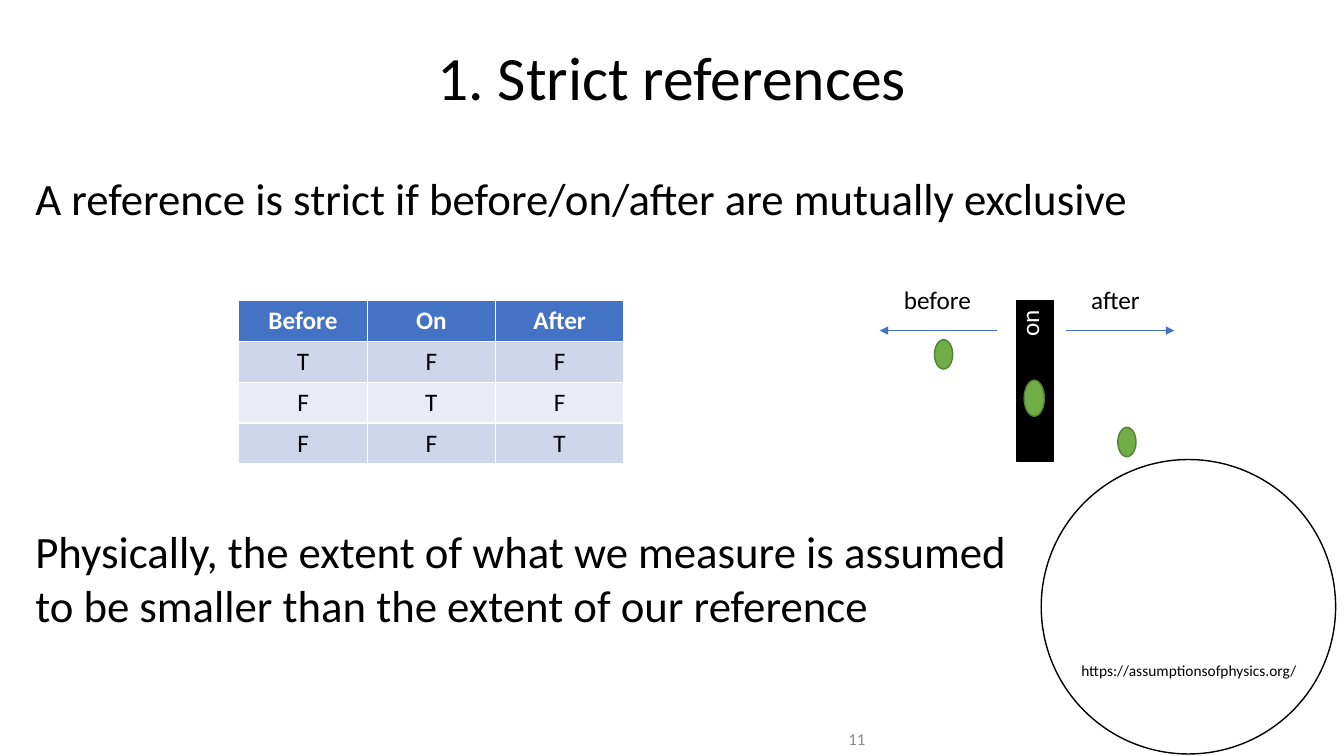
from lxml import etree
from pptx import Presentation
from pptx.dml.color import RGBColor
from pptx.enum.shapes import MSO_CONNECTOR, MSO_SHAPE
from pptx.enum.text import MSO_ANCHOR, MSO_AUTO_SIZE, PP_ALIGN
from pptx.oxml.ns import qn
from pptx.util import Cm, Pt

OVAL, RECT = MSO_SHAPE.OVAL, MSO_SHAPE.RECTANGLE
STRAIGHT = MSO_CONNECTOR.STRAIGHT
LEFT, MID, RIGHT = PP_ALIGN.LEFT, PP_ALIGN.CENTER, PP_ALIGN.RIGHT
TOP, CENTRE = MSO_ANCHOR.TOP, MSO_ANCHOR.MIDDLE
FIXED = MSO_AUTO_SIZE.NONE

HUES = {
    "ink": "000000", "paper": "FFFFFF", "blue": "4472C4", "grey": "8C8C8C",
    "odd": "CFD5EA", "even": "E9EBF5", "green": "70AD47", "edge": "538035",
}
TITLE = "1. Strict references"
TITLE_BOX = (0, 1.02, 33.87, 2.01)
TEXTS = [
    ("https://assumptionsofphysics.org/", (27, 16.54, 5.97, 0.74), 11, "ink", False, TOP),
    ("11", (21.13, 18.29, 6.2, 0.64), 12, "grey", True, CENTRE),
    ("before", (22.53, 7.04, 2.21, 1.02), 18, "ink", False, TOP),
    ("after", (27.25, 7.04, 1.75, 1.02), 18, "ink", False, TOP),
    ("A reference is strict if before/on/after are mutually exclusive",
     (0.64, 4.17, 32.44, 1.63), 32, "ink", True, TOP),
    ("Physically, the extent of what we measure is assumed "
     "to be smaller than the extent of our reference",
     (0.64, 13.08, 25.43, 3), 32, "ink", True, TOP),
]
CASES = ["Before", "On", "After"]
TABLE_BOX = (6.02, 7.57, 9.7, 4.06)
RING = (26.24, 11.58, 7.42, 7.42)
BAR = (25.63, 7.57, 0.91, 4.06)
DOTS = [(23.55, 8.56, 0.46, 0.74), (25.81, 9.58, 0.51, 0.91), (28.17, 10.77, 0.46, 0.74)]
ARROWS = [(25.12, 22.17), (26.87, 29.59)]
ARROW_Y = 8.33


def tint(name):
    return RGBColor.from_string(HUES[name])


def place(box):
    return [Cm(v) for v in box]


def write(frame, text, size, hue, align=LEFT, bold=False):
    para = frame.paragraphs[0]
    para.text = text
    para.alignment = align
    look = {"name": "Calibri", "size": Pt(size), "bold": bold}
    for key, value in look.items():
        setattr(para.font, key, value)
    para.font.color.rgb = tint(hue)
    return para


def draw(kind, box, fill, line):
    shape = slide.shapes.add_shape(kind, *place(box))
    shape.shadow.inherit = False
    if fill:
        shape.fill.solid()
        shape.fill.fore_color.rgb = tint(fill)
    else:
        shape.fill.background()
    shape.line.color.rgb = tint(line)
    shape.line.width = Pt(1)
    return shape


deck = Presentation()
deck.slide_width, deck.slide_height = Cm(33.87), Cm(19.05)
slide = deck.slides.add_slide(deck.slide_layouts[5])

draw(OVAL, RING, None, "ink")

title = slide.shapes.title
title.left, title.top, title.width, title.height = place(TITLE_BOX)
title.text_frame.auto_size = FIXED
title.text_frame.vertical_anchor = CENTRE
write(title.text_frame, TITLE, 44, "ink", MID).line_spacing = 0.9

bar = draw(RECT, BAR, "ink", "ink").text_frame
bar.vertical_anchor = CENTRE
bar.margin_right = Cm(0.43)
bar._txBody.bodyPr.set("vert", "vert270")
write(bar, "on", 18, "paper", RIGHT)

for start, end in ARROWS:
    arrow = slide.shapes.add_connector(STRAIGHT, *place((start, ARROW_Y, end, ARROW_Y)))
    arrow.line.color.rgb = tint("blue")
    arrow.line.width = Pt(0.5)
    etree.SubElement(arrow.line._get_or_add_ln(), qn("a:tailEnd"), type="triangle")
    etree.SubElement(arrow._element.spPr, qn("a:effectLst"))

size = len(CASES)
table = slide.shapes.add_table(size + 1, size, *place(TABLE_BOX)).table
truth = [["T" if r == c else "F" for c in range(size)] for r in range(size)]
for r, row in enumerate([CASES] + truth):
    head = r == 0
    fill = "blue" if head else "odd" if r % 2 else "even"
    for c, text in enumerate(row):
        cell = table.cell(r, c)
        cell.fill.solid()
        cell.fill.fore_color.rgb = tint(fill)
        write(cell.text_frame, text, 18, "paper" if head else "ink", MID, head)

for dot in DOTS:
    draw(OVAL, dot, "green", "edge")

for text, box, points, hue, wrap, anchor in TEXTS:
    frame = slide.shapes.add_textbox(*place(box)).text_frame
    frame.word_wrap = wrap
    frame.vertical_anchor = anchor
    write(frame, text, points, hue)

deck.save("out.pptx")
